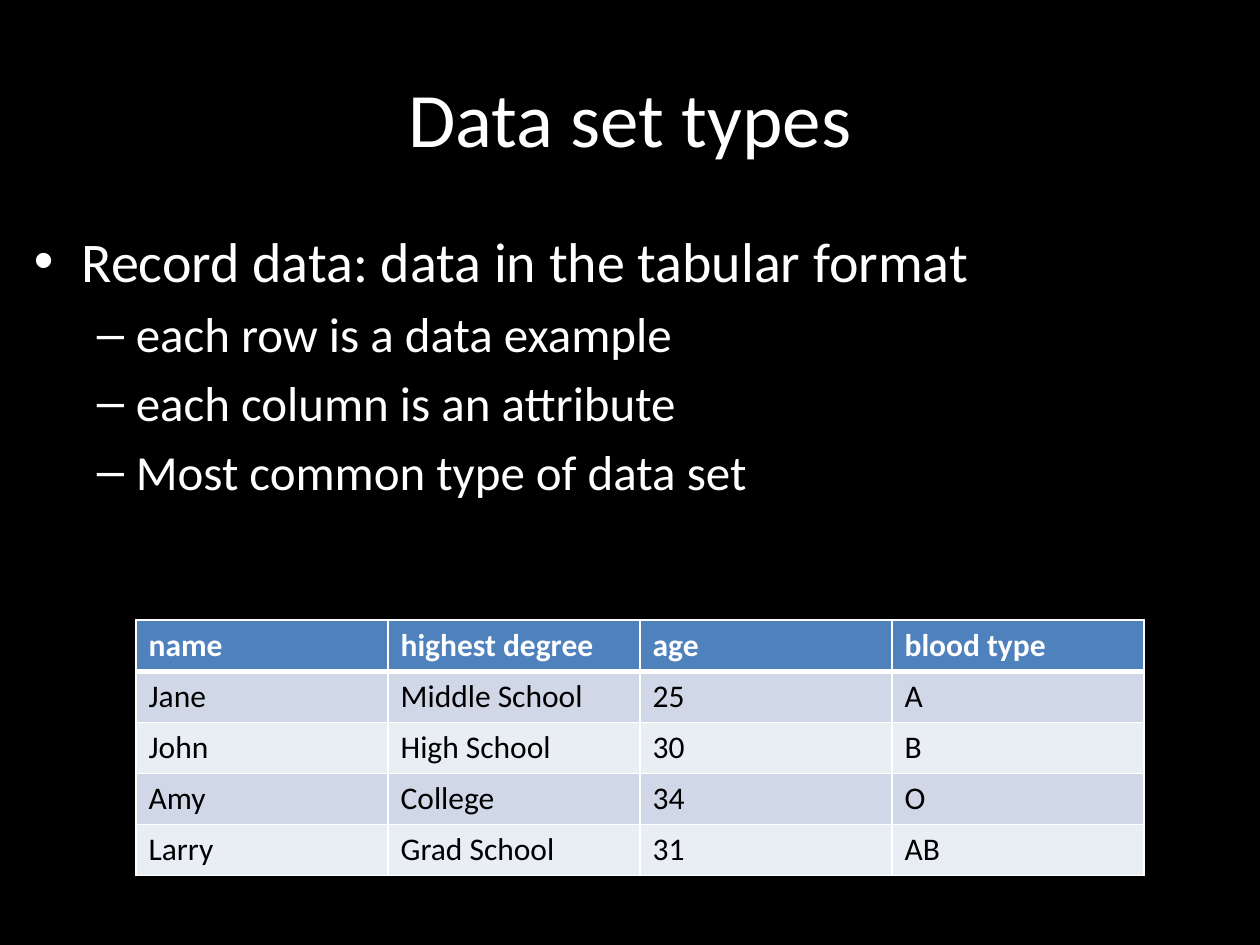
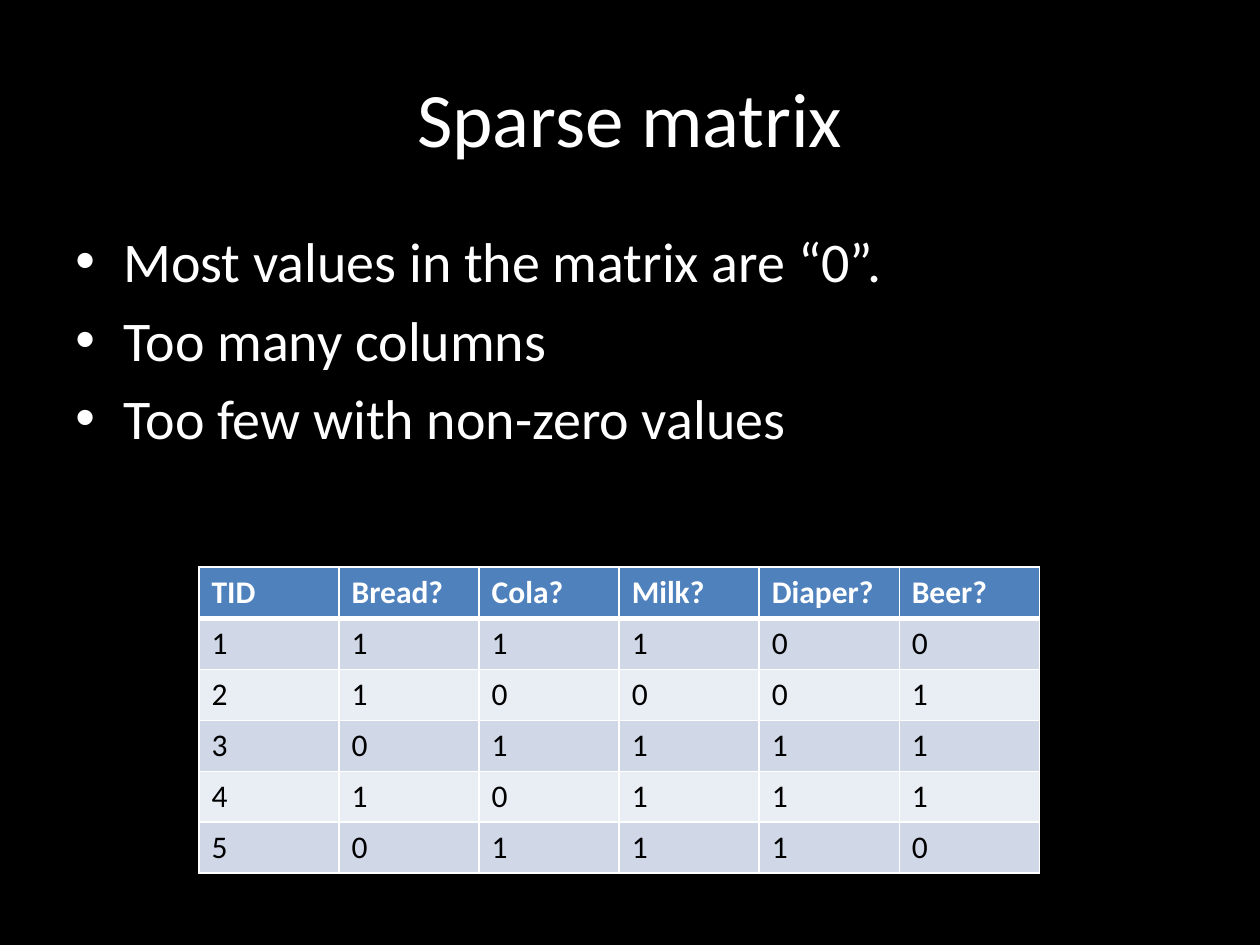
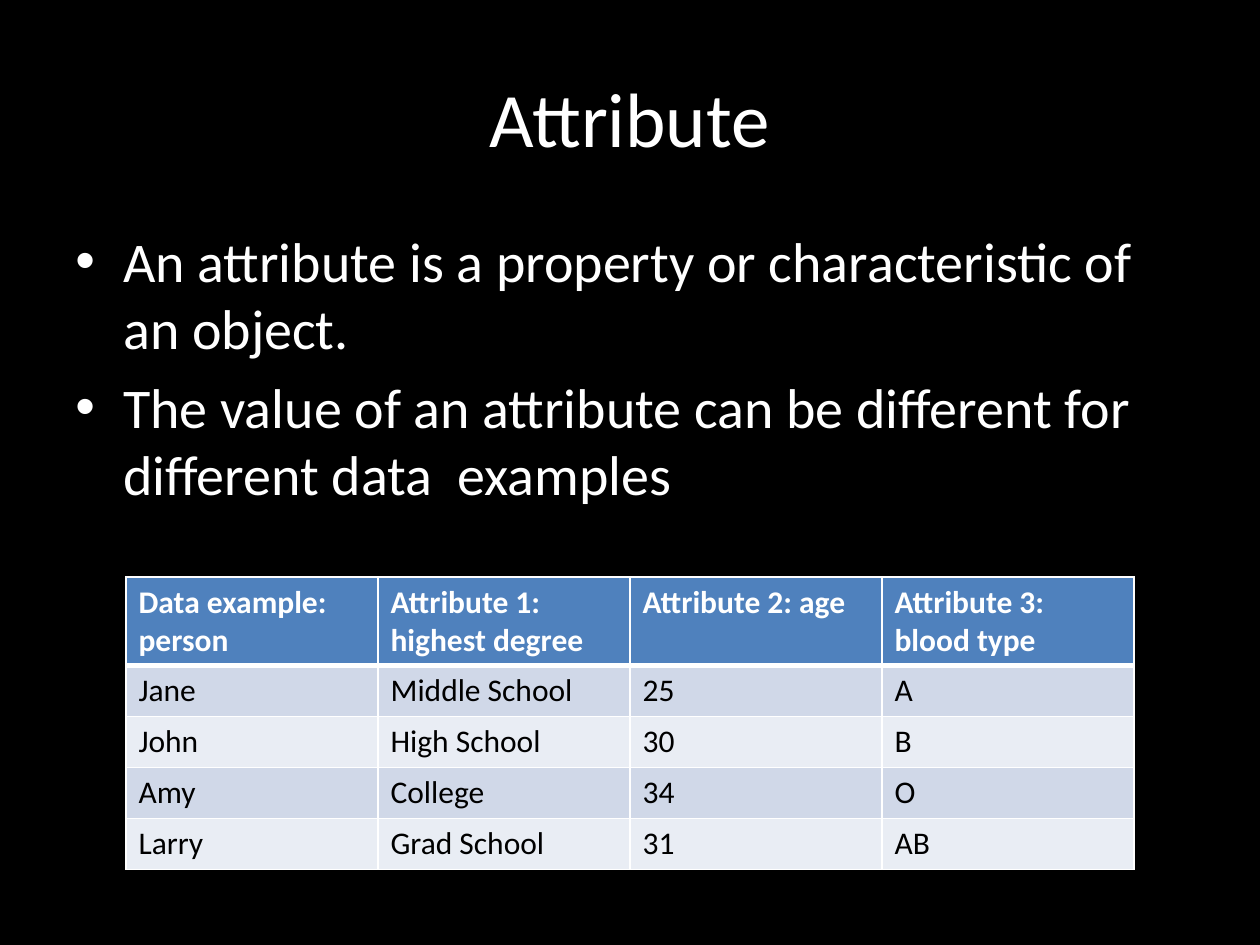
import pptx
import pptx.dml.color
import pptx.enum.text
import pptx.oxml.ns
import pptx.util
from lxml import etree

Inches = pptx.util.Inches
Pt = pptx.util.Pt

FONT = "Calibri"
COLORS = {
    "background": "000000",
    "text": "FFFFFF",
    "header": "4F81BD",
    "odd_row": "D0D8E8",
    "even_row": "E9EDF4",
    "cell_text": "000000",
    "border": "FFFFFF",
}
TITLE_BOX = (0.5, 0.3, 9, 1.25)
# Per outline level: bullet, text size, left margin, hanging indent
LEVELS = [("•", 32, 0.38, 0.38), ("–", 28, 0.81, 0.31)]
ROW_HEIGHT = 0.41

PEOPLE = [
    ["Jane", "Middle School", "25", "A"],
    ["John", "High School", "30", "B"],
    ["Amy", "College", "34", "O"],
    ["Larry", "Grad School", "31", "AB"],
]
BASKETS = ["111100", "210001", "301111", "410111", "501110"]


def rgb(name):
    return pptx.dml.color.RGBColor.from_string(COLORS[name])


def set_font(paragraph, size, color, bold=False):
    font = paragraph.font
    font.name = FONT
    font.size = Pt(size)
    font.bold = bold
    font.color.rgb = rgb(color)


def add_text_frame(slide, box):
    frame = slide.shapes.add_textbox(*map(Inches, box)).text_frame
    frame.word_wrap = True
    return frame


def add_title(slide, title):
    frame = add_text_frame(slide, TITLE_BOX)
    frame.vertical_anchor = pptx.enum.text.MSO_ANCHOR.MIDDLE
    paragraph = frame.paragraphs[0]
    paragraph.text = title
    paragraph.alignment = pptx.enum.text.PP_ALIGN.CENTER
    set_font(paragraph, 44, "text")


def add_outline(slide, box, points):
    """Write (level, text) points as a bulleted outline."""
    frame = add_text_frame(slide, box)
    for index, (level, text) in enumerate(points):
        bullet, size, margin, hanging = LEVELS[level]
        paragraph = frame.paragraphs[0] if index == 0 else frame.add_paragraph()
        paragraph.text = text
        paragraph.level = level
        properties = paragraph._p.get_or_add_pPr()
        properties.set("marL", str(Inches(margin)))
        properties.set("indent", str(-Inches(hanging)))
        etree.SubElement(properties, pptx.oxml.ns.qn("a:buFont"), typeface="Arial")
        etree.SubElement(properties, pptx.oxml.ns.qn("a:buChar"), char=bullet)
        if index > 0:
            paragraph.space_before = Pt(size * 0.2)
        set_font(paragraph, size, "text")


def set_borders(cell, widths):
    """Draw the left, right, top and bottom borders, with widths in points."""
    properties = cell._tc.get_or_add_tcPr()
    for position, (side, width) in enumerate(zip("LRTB", widths)):
        line = etree.Element(pptx.oxml.ns.qn(f"a:ln{side}"), w=str(Pt(width)))
        fill = etree.SubElement(line, pptx.oxml.ns.qn("a:solidFill"))
        etree.SubElement(fill, pptx.oxml.ns.qn("a:srgbClr"), val=COLORS["border"])
        properties.insert(position, line)


def add_data_table(slide, box, rows, header_height=ROW_HEIGHT):
    """Fill the box with equal columns and equal rows below the header."""
    left, top, width, height = map(Inches, box)
    table = slide.shapes.add_table(
        len(rows), len(rows[0]), left, top, width, height).table
    table.horz_banding = False
    row_height = (height - Inches(header_height)) // (len(rows) - 1)
    for row_index, values in enumerate(rows):
        is_header = row_index == 0
        table.rows[row_index].height = Inches(header_height) if is_header else row_height
        fill_color = "header" if is_header else ("even_row", "odd_row")[row_index % 2]
        borders = (1, 1, 3 if row_index == 1 else 1, 3 if is_header else 1)
        for column_index, value in enumerate(values):
            cell = table.cell(row_index, column_index)
            cell.text = value
            cell.fill.solid()
            cell.fill.fore_color.rgb = rgb(fill_color)
            set_borders(cell, borders)
            set_font(cell.text_frame.paragraphs[0], 18,
                     "text" if is_header else "cell_text", is_header)


def add_topic_slide(deck, title):
    slide = deck.slides.add_slide(deck.slide_layouts[6])
    slide.background.fill.solid()
    slide.background.fill.fore_color.rgb = rgb("background")
    add_title(slide, title)
    return slide


def main():
    deck = pptx.Presentation()
    deck.slide_width, deck.slide_height = Inches(10), Inches(7.5)

    data_types = add_topic_slide(deck, "Data set types")
    add_outline(data_types, (0.17, 1.75, 9.83, 4.95), [
        (0, "Record data: data in the tabular format"),
        (1, "each row is a data example"),
        (1, "each column is an attribute"),
        (1, "Most common type of data set"),
    ])
    add_data_table(data_types, (1.08, 4.92, 8, 2.03),
                   [["name", "highest degree", "age", "blood type"], *PEOPLE])

    sparse_matrix = add_topic_slide(deck, "Sparse matrix")
    add_outline(sparse_matrix, (0.5, 1.75, 9, 3.08), [
        (0, "Most values in the matrix are “0”."),
        (0, "Too many columns"),
        (0, "Too few with non-zero values"),
    ])
    add_data_table(sparse_matrix, (1.58, 4.5, 6.67, 2.43),
                   [["TID", "Bread?", "Cola?", "Milk?", "Diaper?", "Beer?"], *BASKETS])

    attribute = add_topic_slide(deck, "Attribute")
    add_outline(attribute, (0.5, 1.75, 9, 2.58), [
        (0, "An attribute is a property or characteristic of an object."),
        (0, "The value of an attribute can be different for different data  examples"),
    ])
    add_data_table(attribute, (1, 4.58, 8, 2.32), [
        ["Data example: person", "Attribute 1: highest degree",
         "Attribute 2: age", "Attribute 3: blood type"],
        *PEOPLE,
    ], header_height=0.7)

    deck.save("out.pptx")


if __name__ == "__main__":
    main()
